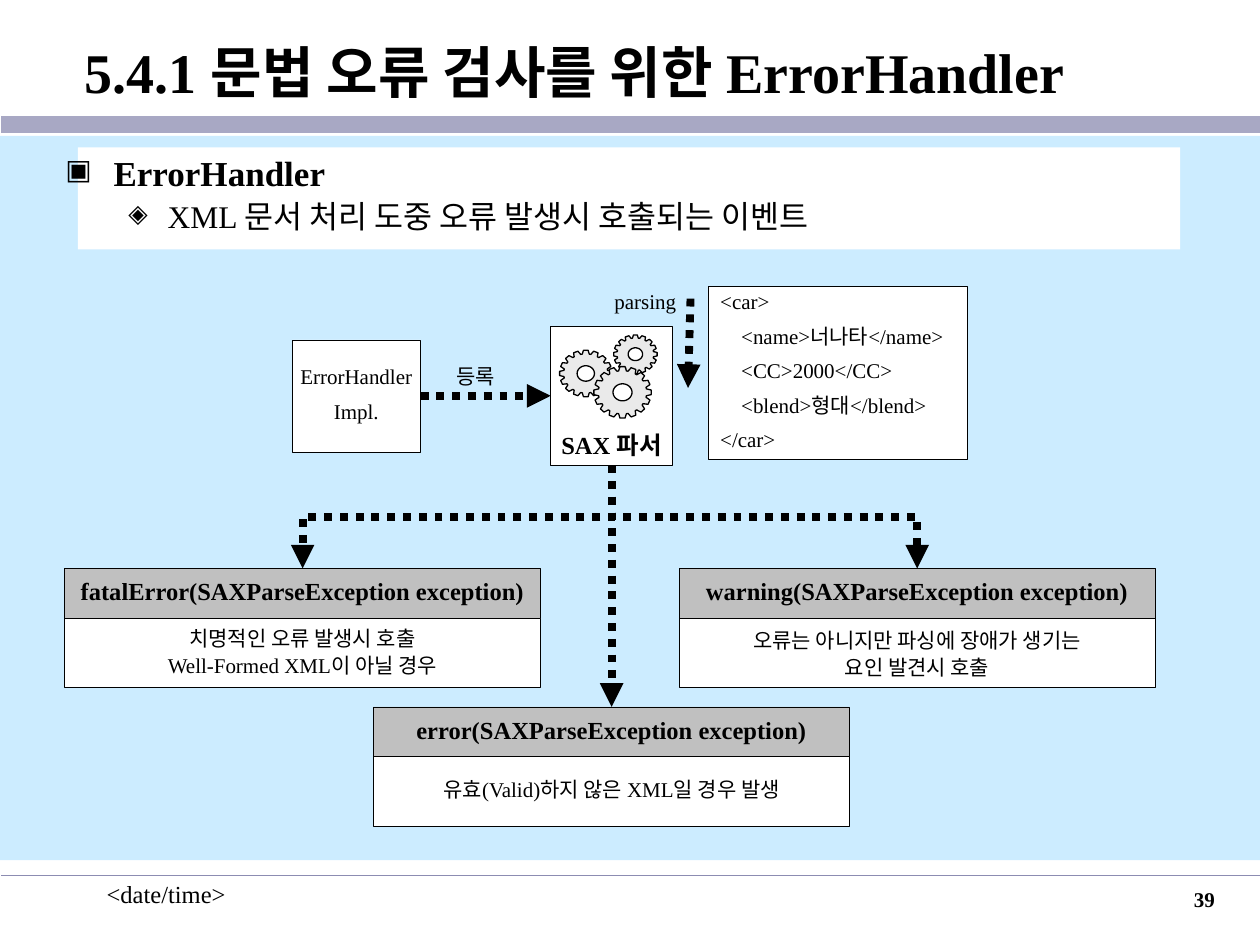
import math
from dataclasses import dataclass

import pptx
import pptx.dml.color
import pptx.enum.shapes
import pptx.enum.text
import pptx.oxml
import pptx.oxml.ns
import pptx.util
from pptx.util import Cm

COLORS = {"black": "000000", "white": "FFFFFF", "sky": "CCECFF", "header": "C0C0C0",
          "gear": "EAEAEA", "top_rule": "A8A8C4", "bottom_rule": "8C8CB2"}
FONT = "Times New Roman"
ALIGN = pptx.enum.text.PP_ALIGN
ANCHOR = pptx.enum.text.MSO_ANCHOR
CONNECTOR = pptx.enum.shapes.MSO_CONNECTOR
RECT = pptx.enum.shapes.MSO_SHAPE.RECTANGLE
TEETH = 16


@dataclass
class Para:
    text: str
    size: float = 12
    bold: bool = False
    spacing: float = 0.85
    before: float = 7.5
    align: ALIGN = ALIGN.CENTER


@dataclass
class Box:
    left: float
    top: float
    width: float
    height: float

    def cm(self) -> list:
        return [Cm(v) for v in (self.left, self.top, self.width, self.height)]


@dataclass
class Handler:
    left: float
    top: float
    title: str
    lines: list


@dataclass
class Gear:
    x: float
    y: float
    rx: float
    ry: float


@dataclass
class Bullet:
    char: str
    level: int
    margin: float
    hanging: float


HANDLERS = [
    Handler(1.3, 11.46, "fatalError(SAXParseException exception)",
            [Para("치명적인 오류 발생시 호출"), Para("Well-Formed XML이 아닐 경우", spacing=0.5)]),
    Handler(7.53, 14.25, "error(SAXParseException exception)",
            [Para("유효(Valid)하지 않은 XML일 경우 발생")]),
    Handler(13.69, 11.46, "warning(SAXParseException exception)",
            [Para("오류는 아니지만 파싱에 장애가 생기는", spacing=1),
             Para("요인 발견시 호출", spacing=0.5)]),
]
GEARS = [Gear(12.81, 7.14, 0.44, 0.39), Gear(11.81, 7.53, 0.53, 0.47),
         Gear(12.55, 7.91, 0.58, 0.52)]
BULLETS = [Bullet("▣", 0, 0.97, 0.97), Bullet("◈", 1, 2.06, 0.79)]
CAR_XML = ["<car>", "    <name>너나타</name>", "    <CC>2000</CC>",
           "    <blend>형대</blend>", "</car>"]


def rgb(name: str):
    return pptx.dml.color.RGBColor.from_string(COLORS[name])


def write(tf, paras: list, anchor=ANCHOR.MIDDLE, wrap: bool = False) -> None:
    tf.word_wrap = wrap
    tf.auto_size = pptx.enum.text.MSO_AUTO_SIZE.NONE
    tf.vertical_anchor = anchor
    for i, para in enumerate(paras):
        p = tf.add_paragraph() if i else tf.paragraphs[0]
        p.alignment = para.align
        p.line_spacing = para.spacing
        p.space_before = pptx.util.Pt(para.before if i else 0)
        r = p.add_run()
        r.text = para.text
        style = {"size": pptx.util.Pt(para.size), "bold": para.bold, "name": FONT}
        for key, value in style.items():
            setattr(r.font, key, value)
        r.font.color.rgb = rgb("black")


def paint(sp, fill: str, line_width: float) -> None:
    sp.shadow.inherit = False
    sp.fill.solid()
    sp.fill.fore_color.rgb = rgb(fill)
    if line_width:
        sp.line.color.rgb = rgb("black")
        sp.line.width = pptx.util.Pt(line_width)
    else:
        sp.line.fill.background()


def add_rect(s, box: Box, fill: str = "white", line_width: float = 0.25):
    sp = s.shapes.add_shape(RECT, *box.cm())
    paint(sp, fill, line_width)
    return sp


def add_label(s, box: Box, para: Para, wrap: bool = False) -> None:
    write(s.shapes.add_textbox(*box.cm()).text_frame, [para], ANCHOR.TOP, wrap)


def add_line(s, start: tuple, end: tuple, color: str, width: float, kind=CONNECTOR.STRAIGHT):
    line = s.shapes.add_connector(kind, *[Cm(v) for v in start + end])
    line.line.color.rgb = rgb(color)
    line.line.width = pptx.util.Pt(width)
    pptx.oxml.ns  # namespace map used by SubElement below
    line._element.spPr.append(pptx.oxml.parse_xml(
        f'<a:effectLst {pptx.oxml.ns.nsdecls("a")}/>'))
    return line


def add_arrow(s, start: tuple, end: tuple, kind=CONNECTOR.STRAIGHT):
    line = add_line(s, start, end, "black", 4.5, kind)
    ln = line.line._get_or_add_ln()
    for xml in ('<a:prstDash {} val="sysDot"/>', '<a:tailEnd {} type="triangle"/>'):
        ln.append(pptx.oxml.parse_xml(xml.format(pptx.oxml.ns.nsdecls("a"))))
    return line


def add_down_elbow(s, start: tuple, end: tuple) -> None:
    """Draw a down-across-down arrow as a sideways elbow turned by 90 degrees."""
    (x1, y1), (x2, y2) = start, end
    cx, cy, dx, dy = (x1 + x2) / 2, (y1 + y2) / 2, x2 - x1, y2 - y1
    line = add_arrow(s, (cx - dy / 2, cy + dx / 2), (cx + dy / 2, cy - dx / 2),
                     CONNECTOR.ELBOW)
    line._element.spPr.xfrm.set("rot", str(90 * 60000))


def add_gear(s, gear: Gear) -> None:
    def at(angle: float, ratio: float) -> tuple:
        return (Cm(gear.x + gear.rx * ratio * math.cos(angle)),
                Cm(gear.y + gear.ry * ratio * math.sin(angle)))

    tooth = [(-0.16, 0.84), (-0.09, 1), (0.09, 1), (0.16, 0.84)]
    rim = [at(2 * math.pi * i / TEETH + da, ratio) for i in range(TEETH) for da, ratio in tooth]
    hole = [at(-2 * math.pi * i / 40, 0.33) for i in range(40)]
    fb = s.shapes.build_freeform(*rim[0])
    fb.add_line_segments(rim[1:], close=True)
    fb.move_to(*hole[0])
    fb.add_line_segments(hole[1:], close=True)
    paint(fb.convert_to_shape(), "gear", 0.75)


def add_bullet(p, bullet: Bullet) -> None:
    p.level = bullet.level
    pPr = p._p.get_or_add_pPr()
    pPr.set("marL", str(Cm(bullet.margin)))
    pPr.set("indent", str(-Cm(bullet.hanging)))
    ns = pptx.oxml.ns.nsdecls("a")
    for xml in (f'<a:buClr {ns}><a:srgbClr val="{COLORS["black"]}"/></a:buClr>',
                f'<a:buSzPct {ns} val="80000"/>', f'<a:buChar {ns} char="{bullet.char}"/>'):
        pPr.append(pptx.oxml.parse_xml(xml))


def add_handler(s, handler: Handler):
    header = add_rect(s, Box(handler.left, handler.top, 9.6, 1), "header")
    write(header.text_frame, [Para(handler.title, 14, True)])
    body = add_rect(s, Box(handler.left, handler.top + 1, 9.6, 1.4))
    write(body.text_frame, handler.lines)
    return header


def main() -> None:
    prs = pptx.Presentation()
    prs.slide_width, prs.slide_height = Cm(25.4), Cm(19.05)
    s = prs.slides.add_slide(prs.slide_layouts[5])

    title = s.shapes.title
    title.left, title.top, title.width, title.height = Box(0.03, 0.28, 25.37, 2.29).cm()
    write(title.text_frame, [Para("5.4.1 문법 오류 검사를 위한 ErrorHandler", 32, True, 1,
                                  align=ALIGN.LEFT)], wrap=True)
    title.text_frame.margin_left = Cm(1.68)

    add_label(s, Box(1.9, 17.6, 5.28, 1.27), Para("<date/time>", 14, spacing=1, align=ALIGN.LEFT), True)
    add_label(s, Box(19.46, 17.75, 5.28, 1.27), Para("39", 12, True, 1, align=ALIGN.RIGHT), True)
    for y, color, width in ((2.51, "top_rule", 9.25), (17.65, "bottom_rule", 1)):
        add_line(s, (0.03, y), (25.4, y), color, width)
    add_rect(s, Box(0, 2.74, 25.4, 14.6), "sky", 0)
    add_rect(s, Box(1.57, 2.97, 22.22, 2.06), "white", 0)

    tf = s.shapes.add_textbox(*Box(1.07, 3.02, 23.27, 1.98).cm()).text_frame
    write(tf, [Para("ErrorHandler", 20, True, 0.9, align=ALIGN.LEFT),
               Para("XML 문서 처리 도중 오류 발생시 호출되는 이벤트", 18, False, 0.9, 4.5, ALIGN.LEFT)],
          ANCHOR.TOP, True)
    for p, bullet in zip(tf.paragraphs, BULLETS):
        add_bullet(p, bullet)

    impl = add_rect(s, Box(5.89, 6.85, 2.59, 2.26))
    write(impl.text_frame, [Para("ErrorHandler"), Para("Impl.")])
    parser = add_rect(s, Box(11.1, 6.58, 2.46, 2.8))
    write(parser.text_frame, [Para("SAX 파서", 14, True)], ANCHOR.BOTTOM)
    for gear in GEARS:
        add_gear(s, gear)
    car = add_rect(s, Box(14.27, 5.77, 5.23, 3.48))
    write(car.text_frame, [Para(t, align=ALIGN.LEFT) for t in CAR_XML], ANCHOR.TOP)

    fatal, error, warning = [add_handler(s, h) for h in HANDLERS]
    below_parser = (12.33, 9.38)
    for header in (fatal, warning):
        add_down_elbow(s, below_parser, ((header.left + header.width / 2) / Cm(1), 11.46))
    down = add_arrow(s, below_parser, (12.33, 14.25))
    down.begin_connect(parser, 2)
    down.end_connect(error, 0)
    register = add_arrow(s, (8.48, 7.98), (11.1, 7.98))
    register.begin_connect(impl, 3)
    register.end_connect(parser, 1)
    add_arrow(s, (13.92, 6.02), (13.87, 7.82))
    add_label(s, Box(12.12, 5.77, 1.78, 0.69), Para("parsing"))
    add_label(s, Box(8.92, 7.29, 1.35, 0.69), Para("등록"))

    prs.save("out.pptx")


if __name__ == "__main__":
    main()
